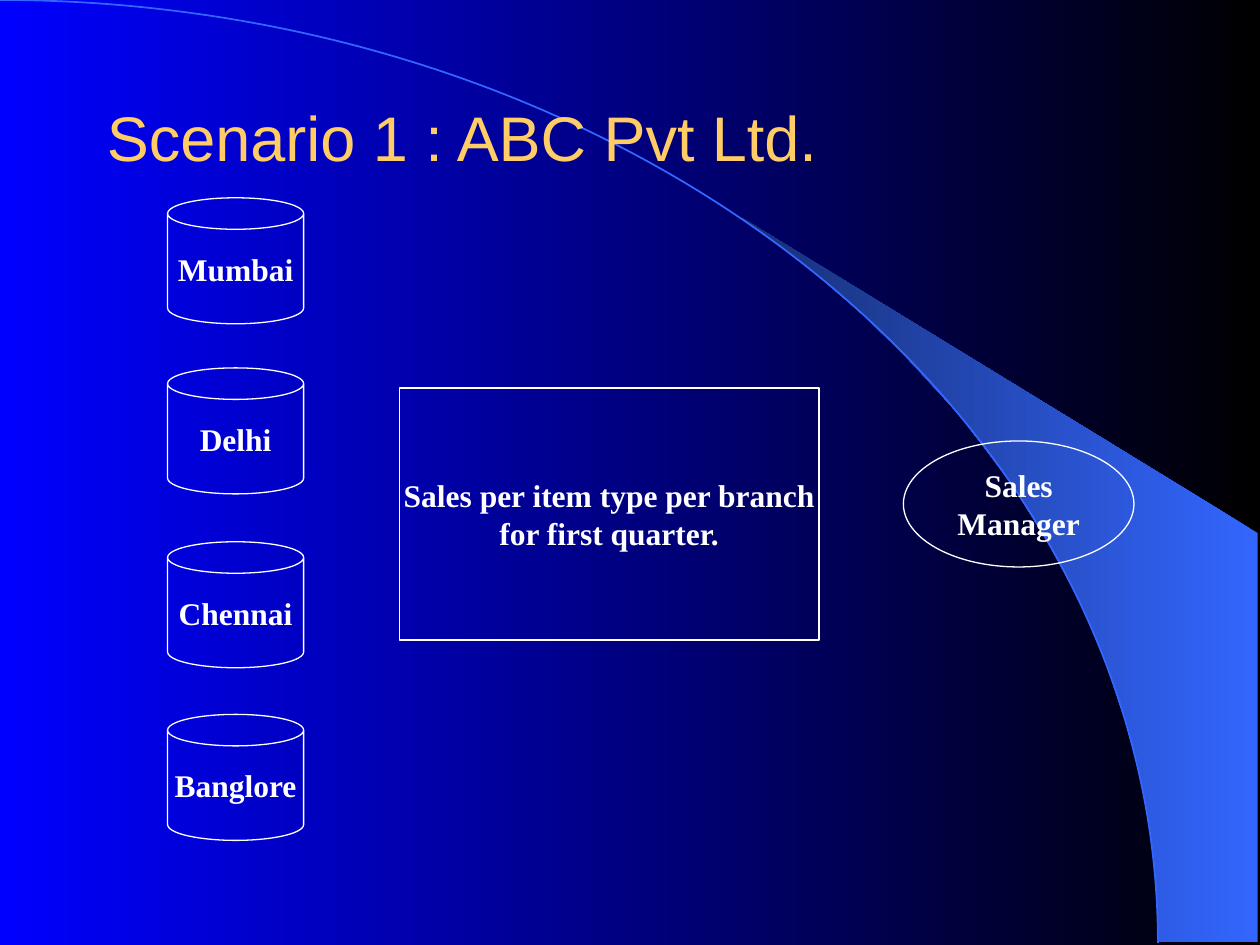
import pptx
import pptx.util
import pptx.dml.color
import pptx.enum.shapes
import pptx.enum.text

Inches = pptx.util.Inches
Pt = pptx.util.Pt
SHAPE = pptx.enum.shapes.MSO_SHAPE
ALIGN = pptx.enum.text.PP_ALIGN
ANCHOR = pptx.enum.text.MSO_ANCHOR


def color(hex_string):
    return pptx.dml.color.RGBColor.from_string(hex_string)


class ScenarioSlide:
    ink = "FFFFFF"
    accent = "3366FF"
    title_ink = "FFCC66"
    title_font = "Arial"
    label_font = "Times New Roman"

    def __init__(self, presentation):
        self.slide = presentation.slides.add_slide(presentation.slide_layouts[6])
        self.shapes = self.slide.shapes

    def gradient(self, fill, right, left):
        fill.gradient()
        fill.gradient_angle = 180
        for stop, hex_string in zip(fill.gradient_stops, (right, left)):
            stop.color.rgb = color(hex_string)

    def background(self, right, left):
        self.gradient(self.slide.background.fill, right, left)

    def beam(self, outline, right, left):
        points = [(Inches(x), Inches(y)) for x, y in outline]
        builder = self.shapes.build_freeform(*points[0])
        builder.add_line_segments(points[1:], close=True)
        beam = builder.convert_to_shape()
        beam.shadow.inherit = False
        self.gradient(beam.fill, right, left)
        beam.line.fill.background()

    def outlined(self, kind, box, line, width):
        shape = self.shapes.add_shape(kind, *map(Inches, box))
        shape.shadow.inherit = False
        shape.fill.background()
        shape.line.color.rgb = color(line)
        shape.line.width = Pt(width)
        return shape

    def arc(self, box):
        self.outlined(SHAPE.ARC, box, self.accent, 1)

    def set_text(self, frame, lines, font, size, ink, bold, align):
        frame.vertical_anchor = ANCHOR.MIDDLE
        for index, line in enumerate(lines):
            paragraph = frame.add_paragraph() if index else frame.paragraphs[0]
            paragraph.text = line
            paragraph.alignment = align
            paragraph.font.name = font
            paragraph.font.size = Pt(size)
            paragraph.font.bold = bold
            paragraph.font.color.rgb = color(ink)

    def title(self, text, box):
        frame = self.shapes.add_textbox(*map(Inches, box)).text_frame
        frame.word_wrap = True
        self.set_text(frame, [text], self.title_font, 36, self.title_ink, False, ALIGN.LEFT)

    def node(self, kind, box, *lines):
        frame = self.outlined(kind, box, self.ink, 0.75).text_frame
        frame.word_wrap = False
        self.set_text(frame, lines, self.label_font, 18, self.ink, True, ALIGN.CENTER)


def main():
    presentation = pptx.Presentation()
    presentation.slide_width = Inches(10)
    presentation.slide_height = Inches(7.5)

    scenario = ScenarioSlide(presentation)
    scenario.background("000000", "0000FF")
    beam_outline = [
        (9.2, 7.48), (9.98, 7.48), (9.98, 4.23), (5.89, 1.73), (6.24, 1.99),
        (6.53, 2.22), (6.85, 2.5), (7.16, 2.8), (7.62, 3.3), (8.03, 3.84),
        (8.32, 4.31), (8.58, 4.79), (8.78, 5.27), (8.93, 5.72), (9.03, 6.09),
        (9.13, 6.56), (9.17, 6.96),
    ]
    scenario.beam(beam_outline, scenario.accent, "172F75")
    scenario.arc((-9.2, 0, 18.39, 14.97))
    scenario.title("Scenario 1 : ABC Pvt Ltd.", (0.75, 0.67, 8.5, 0.83))

    branches = {"Mumbai": 1.57, "Delhi": 2.92, "Chennai": 4.3, "Banglore": 5.67}
    for branch, top in branches.items():
        scenario.node(SHAPE.CAN, (1.33, top, 1.08, 1), branch)
    scenario.node(SHAPE.OVAL, (7.17, 3.5, 1.83, 1), "Sales", "Manager")
    scenario.node(SHAPE.RECTANGLE, (3.17, 3.08, 3.33, 2),
                  "Sales per item type per branch", "for first quarter.")

    presentation.save("out.pptx")


if __name__ == "__main__":
    main()
